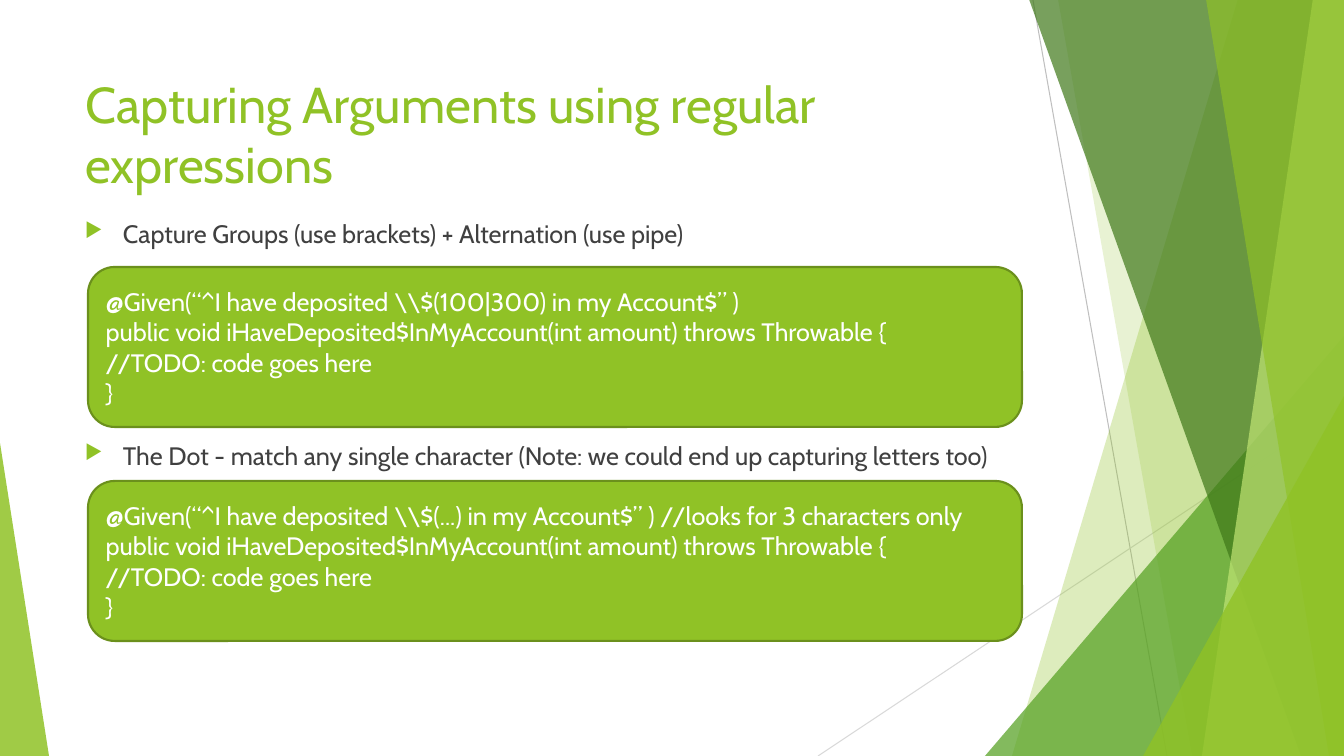
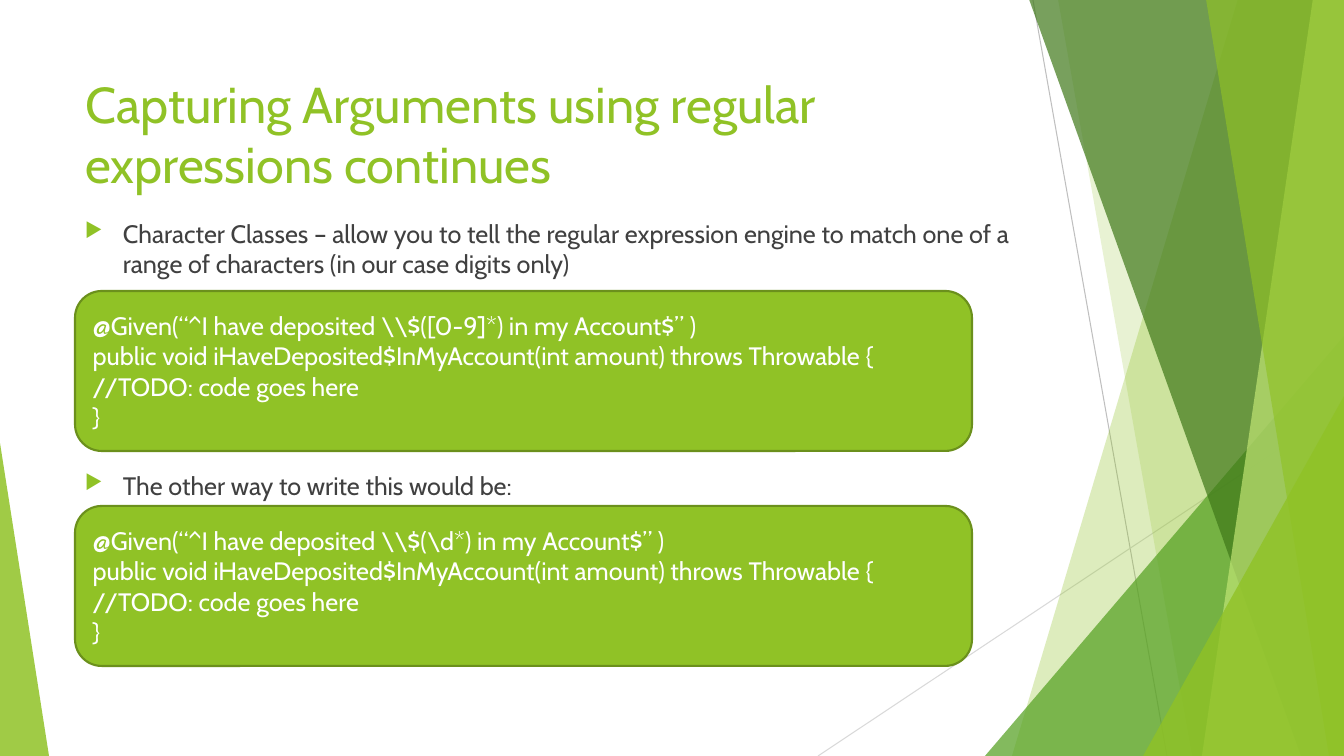
from pptx import Presentation
from pptx.dml.color import RGBColor
from pptx.enum.shapes import MSO_CONNECTOR, MSO_SHAPE
from pptx.enum.text import MSO_ANCHOR, MSO_AUTO_SIZE, PP_ALIGN
from pptx.oxml.ns import qn
from pptx.util import Pt
from lxml import etree

ROUND, TRI = MSO_SHAPE.ROUNDED_RECTANGLE, MSO_SHAPE.ISOSCELES_TRIANGLE
LINE = MSO_CONNECTOR.STRAIGHT
TOP, MIDDLE = MSO_ANCHOR.TOP, MSO_ANCHOR.MIDDLE
LEFT, FIXED = PP_ALIGN.LEFT, MSO_AUTO_SIZE.NONE

SCALE = 914400 / 100.8
WIDE, HIGH = 1344, 756

# Theme: colours and type sizes
THEME = {
    "lime": "90C226", "leaf": "54A021", "moss": "3F7819", "pale": "C0E474",
    "edge": "6B901C", "ink": "404040", "white": "FFFFFF",
    "gray": "BFBFBF", "mist": "D9D9D9",
    "font": "Cabin", "head": Pt(36), "text": Pt(18),
    "rule": Pt(0.75), "rim": Pt(1.5),
}


def px(*nums):
    return [round(n * SCALE) for n in nums]


def write(frame, lines, size, tone, anchor):
    form = {"word_wrap": True, "auto_size": FIXED, "vertical_anchor": anchor}
    for key, val in form.items():
        setattr(frame, key, val)
    frame.text = "\n".join(lines)
    for para in frame.paragraphs:
        para.alignment = LEFT
        font = para.runs[0].font
        for key, val in {"name": THEME["font"], "size": THEME[size]}.items():
            setattr(font, key, val)
        font.color.rgb = RGBColor.from_string(THEME[tone])


# Shared backdrop: rules as end points, bands as top and foot x,
# triangles as left, top and width with the peak at one side
RULES = [
    ((1033, 0, 1167, HIGH), "gray"),
    ((WIDE, 406, 818, HIGH), "mist"),
]
FACETS = [
    ("band", (1238, 1012), "lime", 30),
    ("band", (1058, 1192), "lime", 20),
    ("right", (985, 336, 359), "leaf", 72),
    ("band", (1029, 1301), "moss", 70),
    ("band", (1313, 1202), "pale", 70),
    ("band", (1206, 1329), "lime", 65),
    ("right", (1143, 396, 201), "lime", 80),
    ("left", (0, 443, 49), "lime", 85),
]

# Slide content
TAIL = [
    "public void iHaveDeposited$InMyAccount(int amount) throws Throwable {",
    "//TODO: code goes here",
    "}",
]
PAGES = [
    {
        "title": "Capturing Arguments using regular expressions",
        "left": 88, "wide": 934, "span": 1007,
        "parts": [
            (213, "Capture Groups (use brackets) + Alternation (use pipe)",
             267, r"@Given(“^I have deposited \\$(100|300) in my Account$” )"),
            (435, "The Dot - match any single character "
                  "(Note: we could end up capturing letters too)",
             481, r"@Given(“^I have deposited \\$(...) in my Account$” ) "
                  "//looks for 3 characters only"),
        ],
    },
    {
        "title": "Capturing Arguments using regular expressions continues",
        "left": 75, "wide": 897, "span": 948,
        "parts": [
            (213, "Character Classes – allow you to tell the regular expression "
                  "engine to match one of a range of characters "
                  "(in our case digits only)",
             291, r"@Given(“^I have deposited \\$([0-9]*) in my Account$” )"),
            (465, "The other way to write this would be:",
             506, r"@Given(“^I have deposited \\$(\d*) in my Account$” )"),
        ],
    },
]

deck = Presentation()
deck.slide_width, deck.slide_height = px(WIDE, HIGH)
base = deck.slide_layouts[5]
for hold in list(base.placeholders)[1:]:
    hold.element.getparent().remove(hold.element)
slides = [deck.slides.add_slide(base) for page in PAGES]

# Backdrop, drawn once and moved to the layout
tree = base.element.cSld.spTree
pen = slides[0].shapes
for ends, tone in RULES:
    rule = pen.add_connector(LINE, *px(*ends))
    rule.line.width = THEME["rule"]
    rule.line.color.rgb = RGBColor.from_string(THEME[tone])
    etree.SubElement(rule.element.spPr, qn("a:effectLst"))
    tree.append(rule.element)
for kind, spot, tone, alpha in FACETS:
    if kind == "band":
        head, foot = spot
        path = pen.build_freeform(head, -1, scale=SCALE)
        path.add_line_segments([(WIDE, -1), (WIDE, HIGH), (foot, HIGH)])
        facet = path.convert_to_shape()
    else:
        left, top, wide = spot
        facet = pen.add_shape(TRI, *px(left, top, wide, HIGH - top))
        facet.adjustments[0] = 1 if kind == "right" else 0
    facet.shadow.inherit = False
    facet.line.fill.background()
    facet.fill.solid()
    facet.fill.fore_color.rgb = RGBColor.from_string(THEME[tone])
    tint = facet.element.spPr.find(qn("a:solidFill")).find(qn("a:srgbClr"))
    etree.SubElement(tint, qn("a:alpha"), val=str(alpha * 1000))
    tree.append(facet.element)

for slide, page in zip(slides, PAGES):
    # Title
    title = slide.shapes.title
    title.left, title.top, title.width, title.height = px(75, 68, 948, 145)
    write(title.text_frame, [page["title"]], "head", "lime", TOP)

    for top, note, low, code in page["parts"]:
        # Bullet line
        box = slide.shapes.add_textbox(*px(75, top, page["span"], low - top))
        write(box.text_frame, [note], "text", "ink", TOP)
        props = box.text_frame.paragraphs[0]._p.get_or_add_pPr()
        dent = px(38)[0]
        for key, val in {"marL": dent, "indent": -dent}.items():
            props.set(key, str(val))
        hue = etree.SubElement(props, qn("a:buClr"))
        etree.SubElement(hue, qn("a:srgbClr"), val=THEME["lime"])
        etree.SubElement(props, qn("a:buSzPct"), val="80000")
        etree.SubElement(props, qn("a:buChar"), char="▶")

        # Code panel
        panel = slide.shapes.add_shape(
            ROUND, *px(page["left"], low, page["wide"], 160))
        panel.shadow.inherit = False
        panel.fill.solid()
        panel.fill.fore_color.rgb = RGBColor.from_string(THEME["lime"])
        panel.line.width = THEME["rim"]
        panel.line.color.rgb = RGBColor.from_string(THEME["edge"])
        write(panel.text_frame, [code] + TAIL, "text", "white", MIDDLE)

deck.save("out.pptx")
